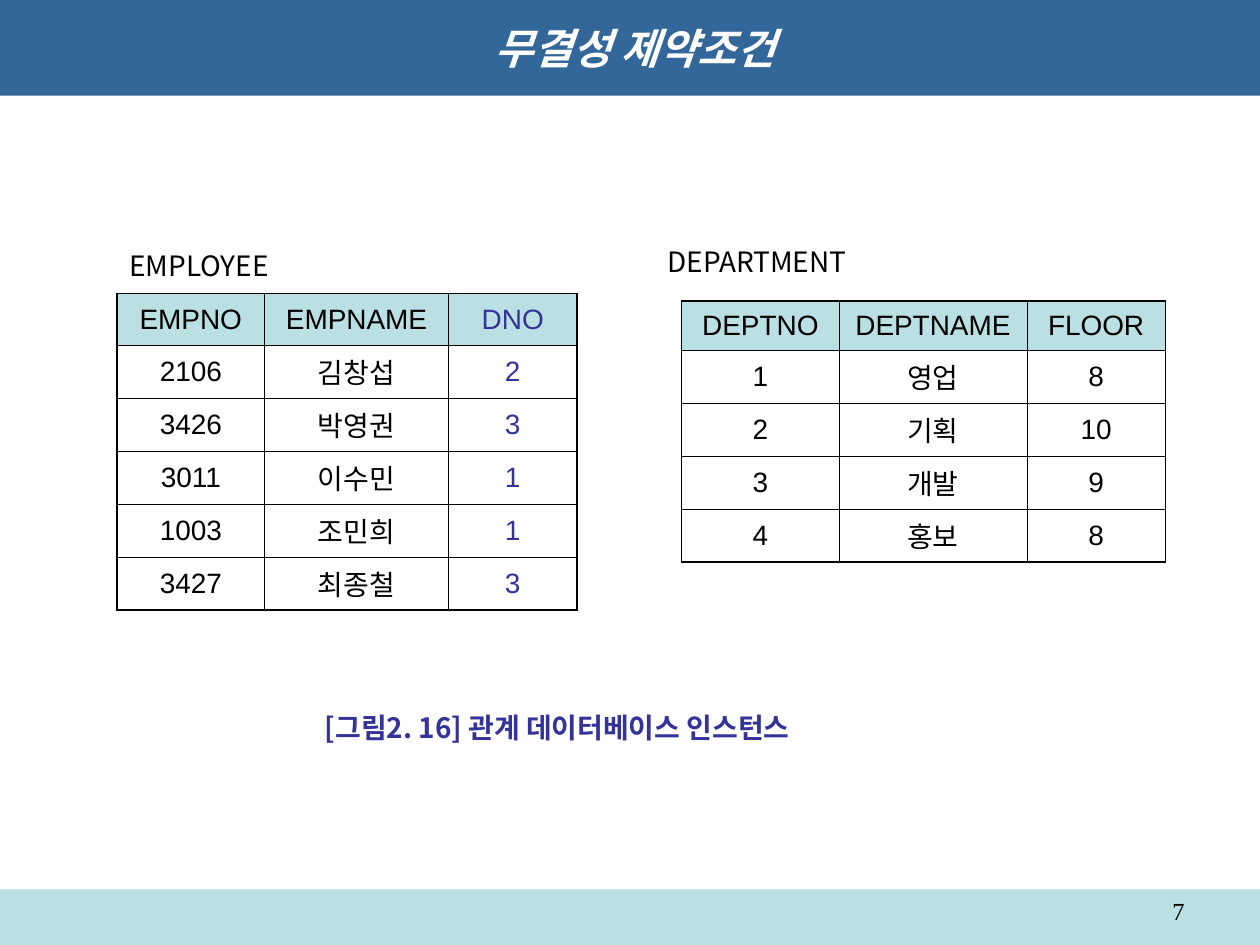
"""Build the slide on integrity constraints with two relation instances."""
from lxml import etree
from pptx import Presentation
from pptx.dml.color import RGBColor
from pptx.enum import shapes, text
from pptx.oxml import ns
from pptx.util import Inches, Pt

COLORS = {"band": "336699", "pale": "BBE0E3", "accent": "333399", "ink": "000000", "white": "FFFFFF"}
HANGUL = "Noto Sans CJK KR"
ALIGN = text.PP_ALIGN


def write(frame, words, font="Arial", size=16, color="ink", bold=False, italic=False,
          align=ALIGN.LEFT, before=0, wrap=True, anchor=text.MSO_ANCHOR.TOP):
    frame.word_wrap = wrap
    frame.vertical_anchor = anchor
    paragraph = frame.paragraphs[0]
    paragraph.alignment = align
    paragraph.space_before = Pt(before)
    run = paragraph.add_run()
    run.text = words
    run.font.name = font
    run.font.size = Pt(size)
    run.font.bold = bold
    run.font.italic = italic
    run.font.color.rgb = RGBColor.from_string(COLORS[color])
    east_asian = etree.SubElement(run.font._element, ns.qn("a:ea"))
    east_asian.set("typeface", HANGUL)


def set_borders(cell, widths):
    properties = cell._tc.get_or_add_tcPr()
    for position, (side, width) in enumerate(widths.items()):
        line = etree.Element(ns.qn(f"a:ln{side}"), w=str(Pt(width)))
        fill = etree.SubElement(line, ns.qn("a:solidFill"))
        etree.SubElement(fill, ns.qn("a:srgbClr"), val=COLORS["ink"])
        properties.insert(position, line)


prs = Presentation()
prs.slide_width, prs.slide_height = Inches(10), Inches(7.5)
slide = prs.slides.add_slide(prs.slide_layouts[5])

footer_band = slide.shapes.add_shape(shapes.MSO_SHAPE.RECTANGLE, 0, Inches(7.06), Inches(10), Inches(0.44))
footer_band.shadow.inherit = False
footer_band.fill.solid()
footer_band.fill.fore_color.rgb = RGBColor.from_string(COLORS["pale"])
footer_band.line.fill.background()

heading = slide.shapes.title
heading.left, heading.top, heading.width, heading.height = 0, 0, Inches(10), Inches(0.76)
heading.fill.solid()
heading.fill.fore_color.rgb = RGBColor.from_string(COLORS["band"])
write(heading.text_frame, " 무결성 제약조건", font="DejaVu Sans", size=24, color="white", bold=True,
      italic=True, align=ALIGN.CENTER, anchor=text.MSO_ANCHOR.MIDDLE)

relations = [
    {"at": (0.93, 2.33), "columns": (1.17, 1.46, 1.02), "heights": (0.41, 0.42), "foreign_key": "DNO",
     "rows": [("EMPNO", "EMPNAME", "DNO"), ("2106", "김창섭", "2"), ("3426", "박영권", "3"),
              ("3011", "이수민", "1"), ("1003", "조민희", "1"), ("3427", "최종철", "3")]},
    {"at": (5.41, 2.39), "columns": (1.25, 1.49, 1.1), "heights": (0.39, 0.39), "foreign_key": None,
     "rows": [("DEPTNO", "DEPTNAME", "FLOOR"), ("1", "영업", "8"), ("2", "기획", "10"),
              ("3", "개발", "9"), ("4", "홍보", "8")]},
]
for relation in relations:
    rows, columns = relation["rows"], relation["columns"]
    header_height, body_height = relation["heights"]
    left, top = relation["at"]
    height = header_height + body_height * (len(rows) - 1)
    grid = slide.shapes.add_table(len(rows), len(columns), Inches(left), Inches(top),
                                  Inches(sum(columns)), Inches(height)).table
    grid.first_row = grid.horz_banding = False
    for c, width in enumerate(columns):
        grid.columns[c].width = Inches(width)
    for r, values in enumerate(rows):
        grid.rows[r].height = Inches(body_height if r else header_height)
        for c, value in enumerate(values):
            cell = grid.cell(r, c)
            if r == 0:
                cell.fill.solid()
                cell.fill.fore_color.rgb = RGBColor.from_string(COLORS["pale"])
            else:
                cell.fill.background()
            outer = {"L": c == 0, "R": c == len(columns) - 1, "T": r == 0, "B": r == len(rows) - 1}
            set_borders(cell, {side: 1.08 if edge else 0.45 for side, edge in outer.items()})
            write(cell.text_frame, value, align=ALIGN.CENTER, before=4,
                  color="accent" if rows[0][c] == relation["foreign_key"] else "ink")
            cell.vertical_anchor = text.MSO_ANCHOR.MIDDLE

labels = [
    ("EMPLOYEE", (0.93, 1.92, 1.32, 0.37), {"font": "Noto Sans CJK JP", "wrap": False}),
    ("DEPARTMENT", (5.2, 1.89, 1.64, 0.37), {"font": "Noto Sans CJK JP", "wrap": False}),
    ("[그림2. 16] 관계 데이터베이스 인스턴스", (2.48, 5.59, 5.19, 0.37),
     {"font": HANGUL, "color": "accent", "bold": True, "align": ALIGN.JUSTIFY, "before": 10}),
    ("7", (7.17, 7.06, 2.33, 0.29), {"font": "Times New Roman", "size": 14, "align": ALIGN.RIGHT}),
]
for words, box, style in labels:
    label = slide.shapes.add_textbox(*map(Inches, box))
    write(label.text_frame, words, **style)

prs.save("out.pptx")
